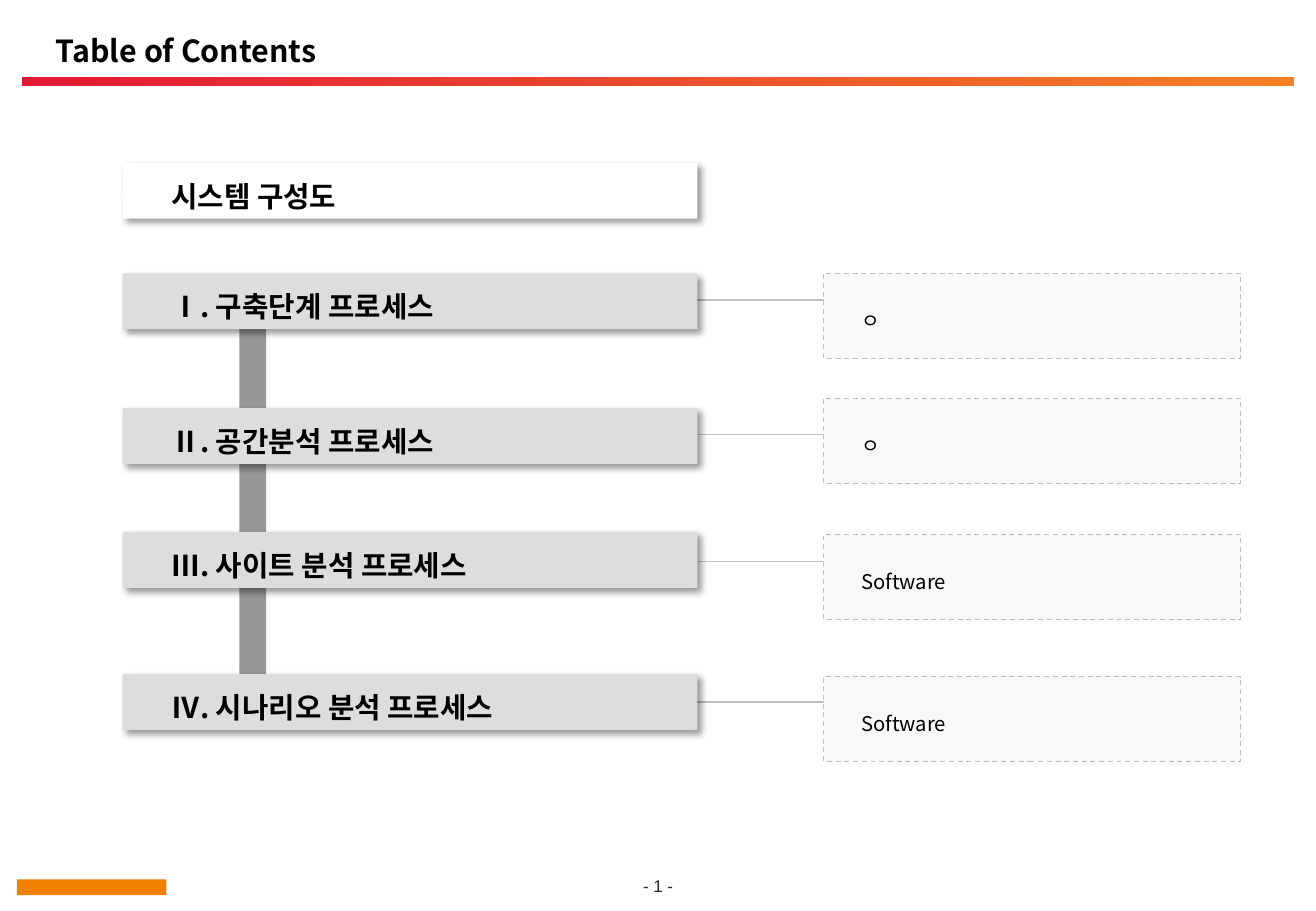
from dataclasses import dataclass

from lxml import etree
from pptx import Presentation
from pptx.dml.color import RGBColor
from pptx.enum.dml import MSO_LINE
from pptx.enum.shapes import MSO_CONNECTOR, MSO_SHAPE
from pptx.enum.text import MSO_ANCHOR, PP_ALIGN
from pptx.oxml.ns import qn
from pptx.util import Inches, Pt

RECTANGLE = MSO_SHAPE.RECTANGLE
STRAIGHT = MSO_CONNECTOR.STRAIGHT
DASH = MSO_LINE.DASH
MIDDLE = MSO_ANCHOR.MIDDLE
LEFT, CENTER = PP_ALIGN.LEFT, PP_ALIGN.CENTER

BLACK = RGBColor(0x00, 0x00, 0x00)
WHITE = RGBColor(0xFF, 0xFF, 0xFF)
RED = RGBColor(0xE3, 0x19, 0x36)
ORANGE = RGBColor(0xF5, 0x80, 0x25)
LOGO_ORANGE = RGBColor(0xEF, 0x80, 0x00)
SPINE_GRAY = RGBColor(0x96, 0x96, 0x96)
BAR_GRAY = RGBColor(0xDD, 0xDD, 0xDD)
DETAIL_GRAY = RGBColor(0xF2, 0xF2, 0xF2)
LINE_GRAY = RGBColor(0xBF, 0xBF, 0xBF)
PAGE_GRAY = RGBColor(0x26, 0x26, 0x26)

KOREAN_FONT = "Noto Sans CJK KR"
BAR_LEFT, BAR_WIDTH, BAR_HEIGHT = 1.01, 4.73, 0.46
DETAIL_LEFT, DETAIL_WIDTH, DETAIL_HEIGHT = 6.78, 3.43, 0.7
LINK_LEFT = 5.38


@dataclass(frozen=True)
class Section:
    heading: str
    bar_top: float
    link_top: float
    detail: str
    detail_top: float


@dataclass(frozen=True)
class TextStyle:
    size: float
    bold: bool = False
    color: RGBColor = BLACK
    font: str = KOREAN_FONT
    alignment: int = LEFT
    line_spacing: float = 1.0
    insets: tuple = (0.1, 0.05, 0.1, 0.05)
    kerned: bool = True


TITLE_STYLE = TextStyle(18, bold=True)
BAR_STYLE = TextStyle(17, bold=True, line_spacing=1.3, kerned=False,
                      insets=(0.4, 0.05, 0.1, 0.05))
DETAIL_STYLE = TextStyle(12, line_spacing=Pt(20), kerned=False,
                         insets=(0.31, 0.05, 0.11, 0.05))
PAGE_STYLE = TextStyle(10, color=PAGE_GRAY, font="Arial", alignment=CENTER,
                       insets=(0, 0, 0, 0))

SECTIONS = [
    Section("Ⅰ. 구축단계 프로세스", 2.25, 2.47, "ㅇ", 2.25),
    Section("Ⅱ. 공간분석 프로세스", 3.36, 3.58, "ㅇ", 3.28),
    Section("Ⅲ. 사이트 분석 프로세스", 4.38, 4.62, "Software", 4.4),
    Section("Ⅳ. 시나리오 분석 프로세스", 5.55, 5.78, "Software", 5.57),
]


def set_attributes(target, values: dict) -> None:
    for name, value in values.items():
        setattr(target, name, value)


def write_text(shape, text: str, style: TextStyle) -> None:
    left, top, right, bottom = (Inches(inset) for inset in style.insets)
    frame = shape.text_frame
    set_attributes(frame, {
        "word_wrap": True, "vertical_anchor": MIDDLE,
        "margin_left": left, "margin_top": top,
        "margin_right": right, "margin_bottom": bottom,
    })
    paragraph = frame.paragraphs[0]
    set_attributes(paragraph, {"alignment": style.alignment,
                               "line_spacing": style.line_spacing})
    run = paragraph.add_run()
    run.text = text
    set_attributes(run.font, {"name": style.font, "size": Pt(style.size),
                              "bold": style.bold})
    run.font.color.rgb = style.color
    # East Asian typeface and kerning
    properties = run.font._element
    etree.SubElement(properties, qn("a:ea")).set("typeface", style.font)
    if not style.kerned:
        properties.set("kern", "0")


def add_text(slide, text: str, box: tuple, style: TextStyle) -> None:
    write_text(slide.shapes.add_textbox(*map(Inches, box)), text, style)


def add_rectangle(slide, box: tuple, fill: RGBColor):
    shape = slide.shapes.add_shape(RECTANGLE, *map(Inches, box))
    shape.shadow.inherit = False
    shape.fill.solid()
    shape.fill.fore_color.rgb = fill
    shape.line.fill.background()
    return shape


def add_bar(slide, text: str, top: float, fill: RGBColor) -> None:
    bar = add_rectangle(slide, (BAR_LEFT, top, BAR_WIDTH, BAR_HEIGHT), fill)
    effects = bar._element.spPr.find(qn("a:effectLst"))
    shadow = etree.SubElement(effects, qn("a:outerShdw"), blurRad=str(Pt(4)),
                              dist=str(Pt(3)), dir="2700000", algn="tl",
                              rotWithShape="0")
    color = etree.SubElement(shadow, qn("a:srgbClr"), val=str(BLACK))
    etree.SubElement(color, qn("a:alpha"), val="40000")
    write_text(bar, text, BAR_STYLE)


def add_detail(slide, text: str, top: float) -> None:
    detail = add_rectangle(
        slide, (DETAIL_LEFT, top, DETAIL_WIDTH, DETAIL_HEIGHT), DETAIL_GRAY)
    color = detail._element.spPr.find(qn("a:solidFill")).find(qn("a:srgbClr"))
    etree.SubElement(color, qn("a:alpha"), val="50000")
    detail.line.color.rgb = LINE_GRAY
    set_attributes(detail.line, {"width": Pt(0.75), "dash_style": DASH})
    write_text(detail, text, DETAIL_STYLE)


def add_link(slide, top: float) -> None:
    ends = (LINK_LEFT, top, DETAIL_LEFT, top)
    link = slide.shapes.add_connector(STRAIGHT, *map(Inches, ends))
    link.line.color.rgb = LINE_GRAY
    link.line.width = Pt(0.75)
    etree.SubElement(link._element.spPr, qn("a:effectLst"))


def add_header(slide) -> None:
    add_text(slide, "Table of Contents", (0.36, 0.22, 10.12, 0.39), TITLE_STYLE)
    band = add_rectangle(slide, (0.18, 0.63, 10.47, 0.08), RED)
    band.fill.gradient()
    band.fill.gradient_angle = 0
    for stop, color in zip(band.fill.gradient_stops, (RED, ORANGE)):
        stop.color.rgb = color


def main() -> None:
    presentation = Presentation()
    presentation.slide_width = Inches(10.83)
    presentation.slide_height = Inches(7.5)
    slide = presentation.slides.add_slide(presentation.slide_layouts[6])

    # Header and footer
    add_header(slide)
    add_rectangle(slide, (0.14, 7.24, 1.23, 0.13), LOGO_ORANGE)
    add_text(slide, "- 1 -", (5.1, 7.21, 0.63, 0.16), PAGE_STYLE)

    # Vertical spine behind the section bars
    add_rectangle(slide, (1.97, 2.29, 0.22, 3.72), SPINE_GRAY)

    # Contents, each link starting beneath its bar
    add_bar(slide, "시스템 구성도", 1.34, WHITE)
    for section in SECTIONS:
        add_link(slide, section.link_top)
        add_detail(slide, section.detail, section.detail_top)
        add_bar(slide, section.heading, section.bar_top, BAR_GRAY)

    presentation.save("out.pptx")


if __name__ == "__main__":
    main()
